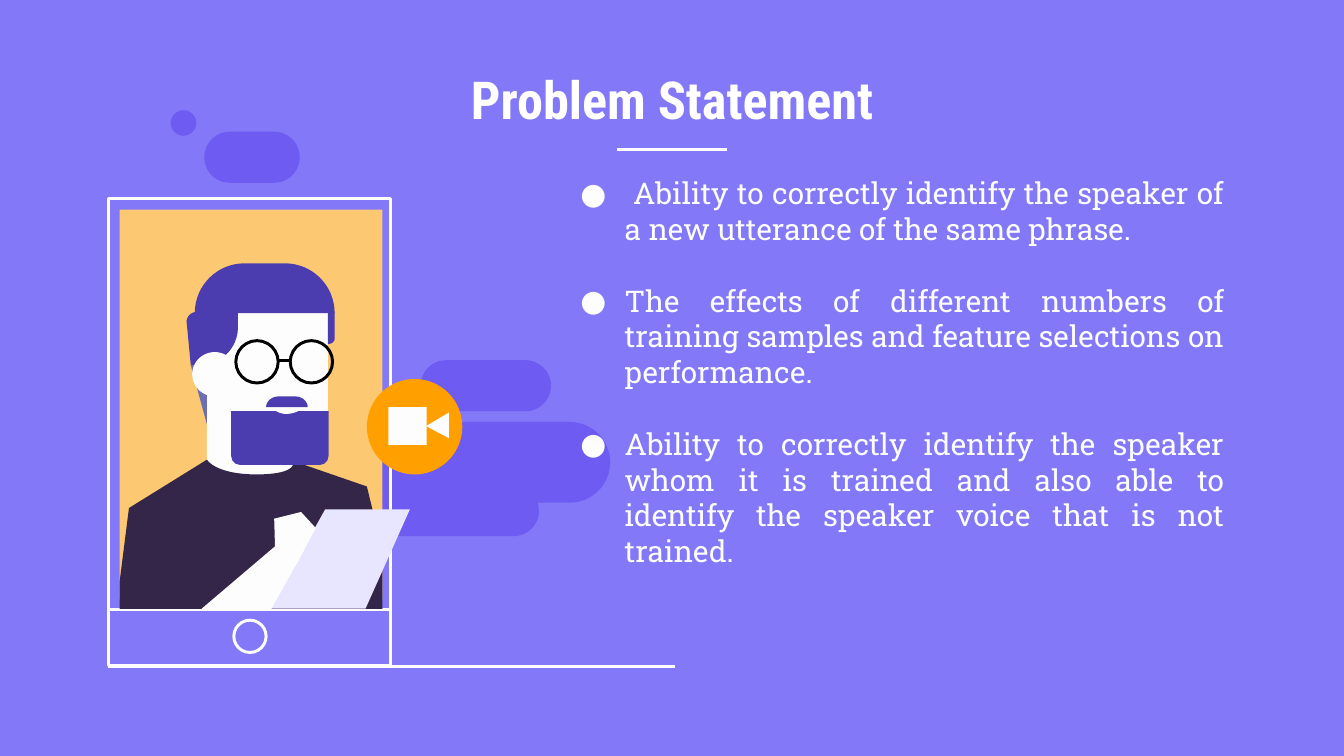
from dataclasses import dataclass

from lxml import etree
from pptx import Presentation
from pptx.dml.color import RGBColor
from pptx.enum.shapes import MSO_CONNECTOR, MSO_SHAPE
from pptx.enum.text import MSO_ANCHOR, PP_ALIGN
from pptx.oxml.ns import qn
from pptx.util import Inches, Pt

COLUMNS, ROWS = 100, 56.25  # square grid cells, a tenth of an inch each


@dataclass(frozen=True)
class Theme:
    background: str = "8278F8"
    cloud: str = "6E5BF1"
    white: str = "FDFDFD"
    title: str = "FFFFFF"
    photo: str = "FCC871"
    badge: str = "FFA000"
    hair: str = "4B3CAF"
    shade: str = "6C6FB2"
    jacket: str = "342649"
    paper: str = "E7E5FF"
    glasses: str = "000000"
    title_font: str = "Roboto Condensed"
    body_font: str = "Roboto Slab"
    title_size: float = 28
    body_size: float = 16
    paragraph_gap: float = 19.2
    rule: float = 1.5
    frame: float = 1.6
    rim: float = 1.6


class SlideBuilder:
    def __init__(self, presentation, theme):
        self.theme = theme
        self.cell = presentation.slide_width / COLUMNS
        self.slide = presentation.slides.add_slide(presentation.slide_layouts[6])
        fill = self.slide.background.fill
        fill.solid()
        fill.fore_color.rgb = RGBColor.from_string(theme.background)

    def grid(self, *lengths):
        return [round(length * self.cell) for length in lengths]

    def paint(self, shape, color):
        shape.shadow.inherit = False
        shape.fill.solid()
        shape.fill.fore_color.rgb = RGBColor.from_string(color)
        shape.line.fill.background()
        return shape

    def shape(self, kind, box, color, *adjustments):
        shape = self.slide.shapes.add_shape(kind, *self.grid(*box))
        for index, value in enumerate(adjustments):
            shape.adjustments[index] = value
        return self.paint(shape, color)

    def frame(self, kind, box, color, width):
        shape = self.shape(kind, box, color)
        shape.fill.background()
        shape.line.color.rgb = RGBColor.from_string(color)
        shape.line.width = Pt(width)

    def outline(self, color, *steps):
        """Each step is a corner (x, y) or a cubic curve (x1, y1, x2, y2, x, y)."""
        points = []
        for step in steps:
            points += [step] if len(step) == 2 else curve_points(points[-1], step)
        start, *rest = [self.grid(*point) for point in points]
        builder = self.slide.shapes.build_freeform(*start)
        builder.add_line_segments(rest, close=True)
        self.paint(builder.convert_to_shape(), color)

    def line(self, start, end, color, width):
        connector = self.slide.shapes.add_connector(
            MSO_CONNECTOR.STRAIGHT, *self.grid(*start, *end))
        connector.line.color.rgb = RGBColor.from_string(color)
        connector.line.width = Pt(width)
        etree.SubElement(connector.element.spPr, qn("a:effectLst"))

    def text(self, box, content, font, size, color, alignment, bold=False):
        text_frame = self.slide.shapes.add_textbox(*self.grid(*box)).text_frame
        text_frame.word_wrap = True
        text_frame.vertical_anchor = MSO_ANCHOR.TOP
        text_frame.margin_left = text_frame.margin_right = Inches(0.1)
        text_frame.margin_top = text_frame.margin_bottom = Inches(0.1)
        text_frame.text = content
        for paragraph in text_frame.paragraphs:
            paragraph.alignment = alignment
            for run in paragraph.runs:
                run.font.name = font
                run.font.size = Pt(size)
                run.font.bold = bold
                run.font.color.rgb = RGBColor.from_string(color)
        return text_frame

    def bullets(self, box, items):
        theme = self.theme
        text_frame = self.text(box, "\n".join(items), theme.body_font,
                               theme.body_size, theme.white, PP_ALIGN.JUSTIFY)
        for index, paragraph in enumerate(text_frame.paragraphs):
            paragraph.space_before = Pt(theme.paragraph_gap if index else 0)
            properties = paragraph._p.get_or_add_pPr()
            properties.set("marL", str(Inches(0.5)))
            properties.set("indent", str(Inches(-0.33)))
            bullet_color = etree.SubElement(properties, qn("a:buClr"))
            etree.SubElement(bullet_color, qn("a:srgbClr"), val=theme.white)
            etree.SubElement(properties, qn("a:buSzPts"), val=str(theme.body_size * 100))
            etree.SubElement(properties, qn("a:buFont"), typeface=theme.body_font)
            etree.SubElement(properties, qn("a:buChar"), char="●")


def curve_points(start, step, segments=16):
    corners = [start, step[:2], step[2:4], step[4:]]
    points = []
    for index in range(1, segments + 1):
        t = index / segments
        weights = ((1 - t) ** 3, 3 * t * (1 - t) ** 2, 3 * t * t * (1 - t), t ** 3)
        points.append(tuple(sum(weight * corner[axis] for weight, corner
                                in zip(weights, corners)) for axis in (0, 1)))
    return points


def draw_phone(builder):
    theme = builder.theme
    builder.line((8, 49.6), (50.2, 49.6), theme.white, theme.rule)
    for top, height in ((14.8, 30.55), (45.35, 4.2)):
        builder.frame(MSO_SHAPE.RECTANGLE, (8.1, top, 21, height), theme.white, theme.frame)
    builder.shape(MSO_SHAPE.RECTANGLE, (8.9, 15.6, 19.55, 29), theme.photo)
    builder.frame(MSO_SHAPE.OVAL, (17.4, 46.15, 2.4, 2.4), theme.white, theme.frame)

    # Video badge
    builder.shape(MSO_SHAPE.OVAL, (27.3, 28.2, 7.1, 7.1), theme.badge)
    builder.shape(MSO_SHAPE.RECTANGLE, (28.9, 30.3, 2.85, 2.8), theme.white)
    builder.outline(theme.white, (33.4, 30.7), (31.7, 31.7), (33.4, 32.6))


def draw_person(builder):
    theme = builder.theme
    # Face, neck and hair
    builder.shape(MSO_SHAPE.RECTANGLE, (16.8, 22.5, 7.6, 9.8), theme.white)
    builder.shape(MSO_SHAPE.RECTANGLE, (15.4, 29.2, 6.4, 7.1), theme.white)
    builder.outline(theme.hair, (14.7, 23.2), (14.2, 23.2, 13.8, 23.6, 13.9, 24.1),
                    (14.2, 27.2), (14.8, 27.2), (16.4, 27.2, 17.7, 25.9, 17.7, 24.4),
                    (17.7, 23.2))
    builder.outline(theme.hair, (18.2, 19.6), (16.2, 19.6, 14.5, 21.2, 14.5, 23.3),
                    (24.9, 23.3), (24.9, 21.2, 23.2, 19.6, 21.2, 19.6))
    builder.outline(theme.hair, (24.4, 23.2), (24.4, 25.6),
                    (24.7, 25.6, 24.9, 25.4, 24.9, 25.2), (24.9, 23.2))
    builder.outline(theme.shade, (15.4, 27.2), (14.2, 27.2), (15.4, 31.6))
    builder.shape(MSO_SHAPE.OVAL, (14.3, 26.2, 3.35, 3.3), theme.white)
    builder.outline(theme.hair, (20.7, 29.5), (20.2, 29.5, 19.8, 29.9, 19.8, 30.3),
                    (22.9, 30.3), (22.9, 29.9, 22.5, 29.5, 22, 29.5))

    # Glasses
    for left in (17.55, 21.6):
        builder.frame(MSO_SHAPE.OVAL, (left, 25.35, 3.15, 3.15), theme.glasses, theme.rim)
    builder.line((20.7, 26.85), (21.6, 26.85), theme.glasses, theme.rim)

    # Jacket, paper and hand
    builder.outline(theme.jacket, (15.4, 34.2), (9.6, 37.8), (8.9, 43.3), (8.9, 45.3),
                    (28.45, 45.3), (28.45, 40.9), (27.3, 36.2), (21.8, 34.3),
                    (21.8, 34.3, 22.3, 35.3, 19.1, 35.3),
                    (16, 35.3, 15.4, 34.2, 15.4, 34.2))
    builder.outline(theme.paper, (24.2, 37.9), (20.1, 45.3), (27.2, 45.3), (30.5, 37.9))
    builder.outline(theme.white, (22.4, 38.1), (20.4, 38.6), (20.5, 42), (22, 42.1),
                    (23.5, 39.3))
    builder.outline(theme.white, (21, 40.2), (15, 45.3), (20.2, 45.3), (22.6, 41))

    # Beard and lower lip
    beard = builder.shape(MSO_SHAPE.ROUND_2_SAME_RECTANGLE, (17.2, 30.6, 7.25, 4),
                          theme.hair, 0.17, 0)
    beard.rotation = 180
    builder.outline(theme.title, (20.3, 30.4), (20.6, 30.7, 21, 30.8, 21.3, 30.8),
                    (22, 30.8, 22.5, 30.4, 22.5, 30.4))


def main():
    presentation = Presentation()
    presentation.slide_width = Inches(COLUMNS / 10)
    presentation.slide_height = Inches(ROWS / 10)
    theme = Theme()
    builder = SlideBuilder(presentation, theme)

    # Background clouds
    for box in ((15, 36.1, 25.1, 3.8), (9.6, 31.4, 35.8, 6),
                (31.3, 26.8, 9.7, 3.8), (15.2, 9.8, 7.1, 3.8)):
        builder.shape(MSO_SHAPE.ROUNDED_RECTANGLE, box, theme.cloud, 0.5)
    builder.shape(MSO_SHAPE.OVAL, (12.7, 8.2, 1.9, 1.9), theme.cloud)

    # Text
    builder.bullets((40.5, 12, 51.6, 33.9), (
        " Ability to correctly identify the speaker of a new utterance of the same phrase.",
        "The effects of different numbers of training samples and feature selections"
        " on performance.",
        "Ability to correctly identify the speaker whom it is trained and also able to"
        " identify the speaker voice that is not trained."))
    builder.text((7.9, 4, 84.2, 6.3), "Problem Statement", theme.title_font,
                 theme.title_size, theme.title, PP_ALIGN.CENTER, bold=True)
    builder.line((45.9, 11.12), (54.1, 11.12), theme.white, theme.rule)

    # Illustration
    draw_phone(builder)
    draw_person(builder)
    presentation.save("out.pptx")


if __name__ == "__main__":
    main()
